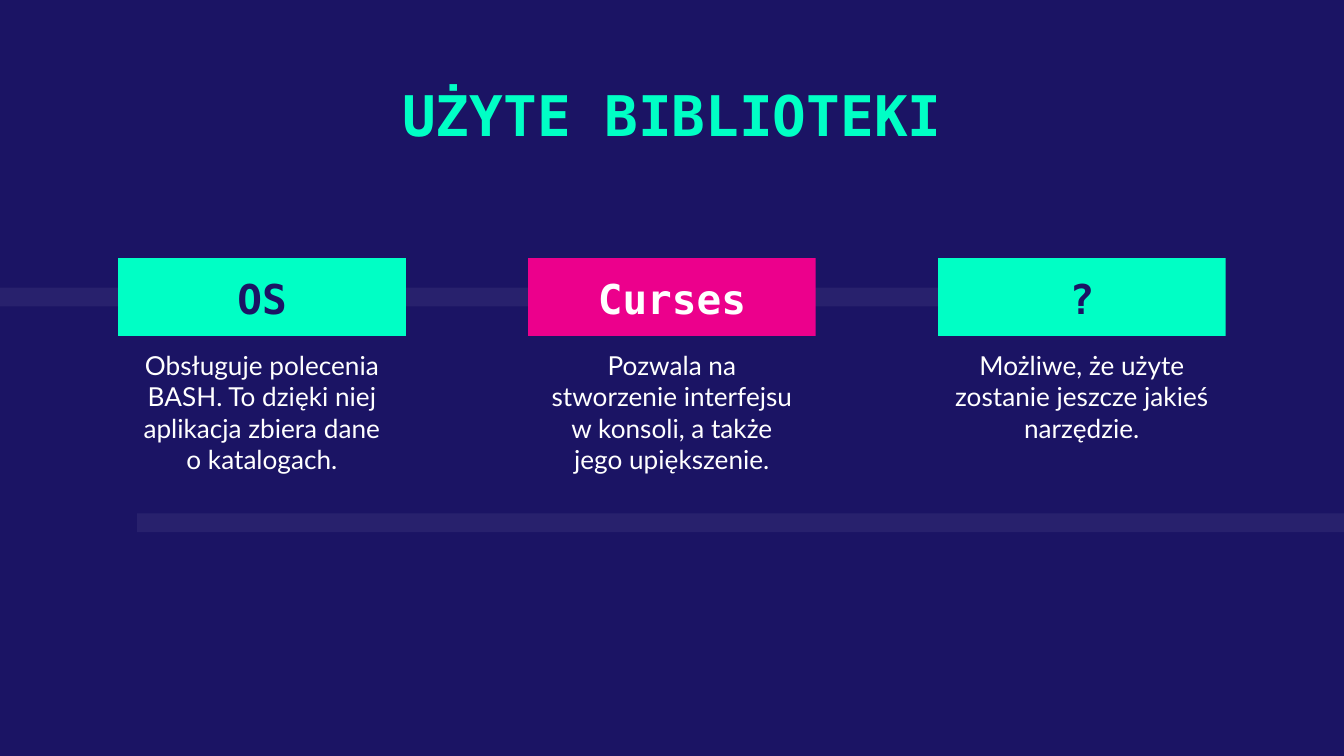
import pptx
import pptx.dml.color
import pptx.enum.shapes
import pptx.enum.text
import pptx.oxml.ns
import pptx.util
from lxml import etree

RGB = pptx.dml.color.RGBColor
NAVY = RGB(0x1B, 0x14, 0x64)
MINT = RGB(0x00, 0xFF, 0xC5)
PINK = RGB(0xEC, 0x00, 0x8C)
WHITE = RGB(0xFF, 0xFF, 0xFF)

MONO, SANS = "DejaVu Sans Mono", "Lato"
ANCHOR = pptx.enum.text.MSO_ANCHOR
WIDE = 10
HIGH = WIDE * 9 / 16

# Three equal columns, centred on the slide
STEP = 3.05
CARD = 2.14
TOP, TALL = 1.92, 0.58

# Heading, fill, text colour, note, note width, note height
CARDS = [
    ("OS", MINT, NAVY,
     "Obsługuje polecenia BASH. To dzięki niej aplikacja zbiera dane o katalogach.",
     2.07, 1.08),
    ("Curses", PINK, WHITE,
     "Pozwala na stworzenie interfejsu w konsoli, a także jego upiększenie.",
     2.07, 0.91),
    ("?", MINT, NAVY,
     "Możliwe, że użyte zostanie jeszcze jakieś narzędzie.",
     2.33, 1.24),
]


def place(*sides):
    return [pptx.util.Inches(side) for side in sides]


def write(shape, text, font, size, color, bold=False, anchor=ANCHOR.TOP):
    frame = shape.text_frame
    frame.word_wrap = True
    frame.auto_size = pptx.enum.text.MSO_AUTO_SIZE.NONE
    frame.vertical_anchor = anchor
    inset = pptx.util.Inches(0.1)
    frame.margin_left = frame.margin_right = inset
    frame.margin_top = frame.margin_bottom = inset
    para = frame.paragraphs[0]
    para.alignment = pptx.enum.text.PP_ALIGN.CENTER
    run = para.add_run()
    run.text = text
    run.font.name = font
    run.font.size = pptx.util.Pt(size)
    run.font.bold = bold
    run.font.color.rgb = color


def block(slide, left, top, width, height, color):
    shape = slide.shapes.add_shape(
        pptx.enum.shapes.MSO_SHAPE.RECTANGLE, *place(left, top, width, height))
    shape.shadow.inherit = False
    shape.fill.solid()
    shape.fill.fore_color.rgb = color
    shape.line.fill.background()
    return shape


def stripe(slide, left, top, width):
    """Add a thin white bar at 6 % opacity."""
    bar = block(slide, left, top, width, 0.14, WHITE)
    qn = pptx.oxml.ns.qn
    tint = bar.fill._xPr.find(qn("a:solidFill")).find(qn("a:srgbClr"))
    etree.SubElement(tint, qn("a:alpha"), val="6000")


def title(slide, text):
    shape = slide.shapes.title
    shape.left, shape.top, shape.width, shape.height = place(1.4, 0.5, 7.2, 0.73)
    write(shape, text, MONO, 30, MINT, True)


def card(slide, col, head, fill, ink, note, width, height):
    mid = WIDE / 2 + (col - 1) * STEP
    box = slide.shapes.add_textbox(
        *place(mid - width / 2, TOP + TALL, width, height))
    write(box, note, SANS, 14, WHITE)
    label = block(slide, mid - CARD / 2, TOP, CARD, TALL, fill)
    write(label, head, MONO, 22, ink, True, ANCHOR.BOTTOM)


def main():
    deck = pptx.Presentation()
    deck.slide_width, deck.slide_height = place(WIDE, HIGH)
    slide = deck.slides.add_slide(deck.slide_layouts.get_by_name("Title Only"))
    slide.background.fill.solid()
    slide.background.fill.fore_color.rgb = NAVY
    stripe(slide, 0, 2.14, 8.52)
    stripe(slide, 1.02, 3.82, WIDE - 1.02)
    title(slide, "UŻYTE BIBLIOTEKI")
    for col, item in enumerate(CARDS):
        card(slide, col, *item)
    deck.save("out.pptx")


if __name__ == "__main__":
    main()
